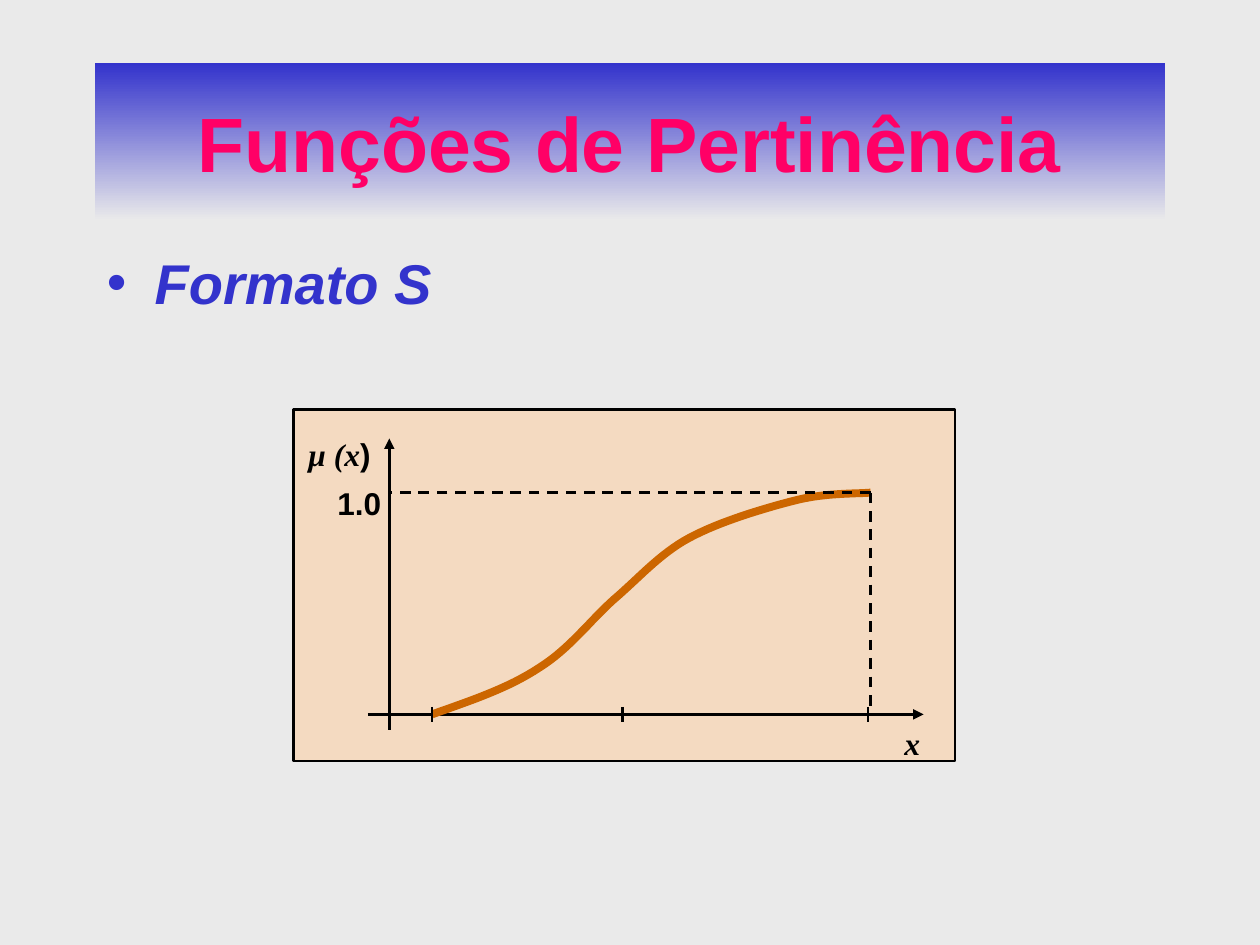
import lxml.etree
import pptx
import pptx.dml.color
import pptx.enum.dml
import pptx.enum.shapes
import pptx.enum.text
import pptx.oxml
import pptx.oxml.ns
import pptx.util

Inches = pptx.util.Inches
Pt = pptx.util.Pt

BLACK, BLUE, PALE = "000000", "3333CC", "EAEAEA"
SERIF, SANS = "Times New Roman", "Arial"


def colour(value):
    return pptx.dml.color.RGBColor.from_string(value)


def add_tag(parent, tag, **attributes):
    return lxml.etree.SubElement(parent, pptx.oxml.ns.qn(tag), attributes)


def add_span(para, text, size=18, font=SANS, color=BLACK, italic=False):
    """Add a bold run with the given format."""
    span = para.add_run()
    span.text = text
    span.font.size = Pt(size)
    span.font.name = font
    span.font.color.rgb = colour(color)
    span.font.bold = True
    span.font.italic = italic


def add_title(page, left, top, width, height):
    title = page.shapes.title
    title.left, title.top = Inches(left), Inches(top)
    title.width, title.height = Inches(width), Inches(height)
    title.fill.gradient()
    title.fill.gradient_angle = 270
    for stop, position, value in zip(title.fill.gradient_stops, (0, 1), (BLUE, PALE)):
        stop.position = position
        stop.color.rgb = colour(value)
    frame = title.text_frame
    frame.auto_size = pptx.enum.text.MSO_AUTO_SIZE.NONE
    frame.vertical_anchor = pptx.enum.text.MSO_ANCHOR.MIDDLE
    para = frame.paragraphs[0]
    para.alignment = pptx.enum.text.PP_ALIGN.CENTER
    add_span(para, "Funções de Pertinência", size=44, color="FF0066")


def add_bullet(page, left, top, width, height):
    box = page.shapes.add_textbox(Inches(left), Inches(top), Inches(width), Inches(height))
    box.text_frame.word_wrap = True
    para = box.text_frame.paragraphs[0]
    indent = Inches(0.38)
    properties = para._p.get_or_add_pPr()
    properties.set("marL", str(indent))
    properties.set("indent", str(-indent))
    add_tag(properties, "a:buFont", typeface=SANS)
    add_tag(properties, "a:buChar", char="•")
    add_span(para, "Formato S", size=32, color=BLUE, italic=True)


def add_line(shapes, start, end, dashed=False, arrow=False):
    line = shapes.add_connector(pptx.enum.shapes.MSO_CONNECTOR.STRAIGHT,
                                *map(Inches, start + end))
    line.line.color.rgb = colour(BLACK)
    line.line.width = Pt(1.5)
    if dashed:
        line.line.dash_style = pptx.enum.dml.MSO_LINE.DASH
    if arrow:
        add_tag(line.line._get_or_add_ln(), "a:tailEnd", type="triangle")
    add_tag(line.element.spPr, "a:effectLst")


def add_label(shapes, left, top, width, *spans):
    """Add an unwrapped label from (text, format) pairs."""
    box = shapes.add_textbox(Inches(left), Inches(top), Inches(width), Inches(0.4))
    box.text_frame.word_wrap = False
    box.text_frame.auto_size = pptx.enum.text.MSO_AUTO_SIZE.SHAPE_TO_FIT_TEXT
    for text, style in spans:
        add_span(box.text_frame.paragraphs[0], text, **style)


def bezier(points, steps=16):
    """Yield points along a cubic curve, leaving out its start."""
    for step in range(1, steps + 1):
        t = step / steps
        weights = ((1 - t) ** 3, 3 * t * (1 - t) ** 2, 3 * t ** 2 * (1 - t), t ** 3)
        yield tuple(Inches(sum(w * point[axis] for w, point in zip(weights, points)))
                    for axis in (0, 1))


def add_curve(shapes, knots):
    """Draw a smooth curve through knots given as chained cubic control points."""
    builder = shapes.build_freeform(*map(Inches, knots[0]))
    for first in range(0, len(knots) - 1, 3):
        builder.add_line_segments(bezier(knots[first:first + 4]), close=False)
    curve = builder.convert_to_shape()
    curve.shadow.inherit = False
    curve.fill.background()
    curve.line.color.rgb = colour("CC6600")
    curve.line.width = Pt(4.5)


def add_membership_plot(page, left, top, width, height):
    shapes = page.shapes.add_group_shape().shapes
    panel = shapes.add_shape(pptx.enum.shapes.MSO_SHAPE.RECTANGLE,
                             *map(Inches, (left, top, width, height)))
    panel.shadow.inherit = False
    panel.fill.solid()
    panel.fill.fore_color.rgb = colour("FFCC99")
    shade = panel.element.spPr.find(".//" + pptx.oxml.ns.qn("a:srgbClr"))
    add_tag(shade, "a:alpha", val="50000")
    panel.line.color.rgb = colour(BLACK)
    panel.line.width = Pt(1.5)

    axis_x, base = left + 0.76, top + 2.42
    end_x, level = left + 4.58, top + 0.66
    symbol = {"font": SERIF, "italic": True}

    add_label(shapes, left + 0.02, top + 0.15, 0.7, ("μ (x", symbol), (")", {}))
    add_line(shapes, (axis_x, base + 0.12), (axis_x, top + 0.23), arrow=True)
    add_line(shapes, (left + 0.59, base), (left + 5, base), arrow=True)
    knots = [(1.1, 2.42), (1.41, 2.31), (1.71, 2.21), (1.95, 2.05),
             (2.19, 1.9), (2.35, 1.68), (2.54, 1.51),
             (2.74, 1.34), (2.9, 1.15), (3.14, 1.02),
             (3.38, 0.89), (3.75, 0.78), (3.99, 0.72),
             (4.23, 0.66), (4.49, 0.67), (4.58, 0.66)]
    add_curve(shapes, [(left + x, top + y) for x, y in knots])
    for end in ((axis_x, level), (end_x, base)):
        add_line(shapes, (end_x, level), end, dashed=True)
    add_label(shapes, left + 0.25, top + 0.54, 0.55, ("1.0", {}))
    for offset in (1.1, 2.61, 4.56):
        add_line(shapes, (left + offset, base - 0.06), (left + offset, base + 0.06))
    add_label(shapes, left + 4.75, top + 2.45, 0.32, ("x", symbol))


def main():
    deck = pptx.Presentation()
    deck.slide_width, deck.slide_height = Inches(10), Inches(7.5)
    page = deck.slides.add_slide(deck.slide_layouts.get_by_name("Title Only"))
    page.background.fill.solid()
    page.background.fill.fore_color.rgb = colour(PALE)
    add_title(page, 0.75, 0.5, 8.5, 1.25)
    add_bullet(page, 0.75, 1.92, 8.5, 0.83)
    add_membership_plot(page, 2.33, 3.25, 5.25, 2.79)
    deck.save("out.pptx")


if __name__ == "__main__":
    main()
